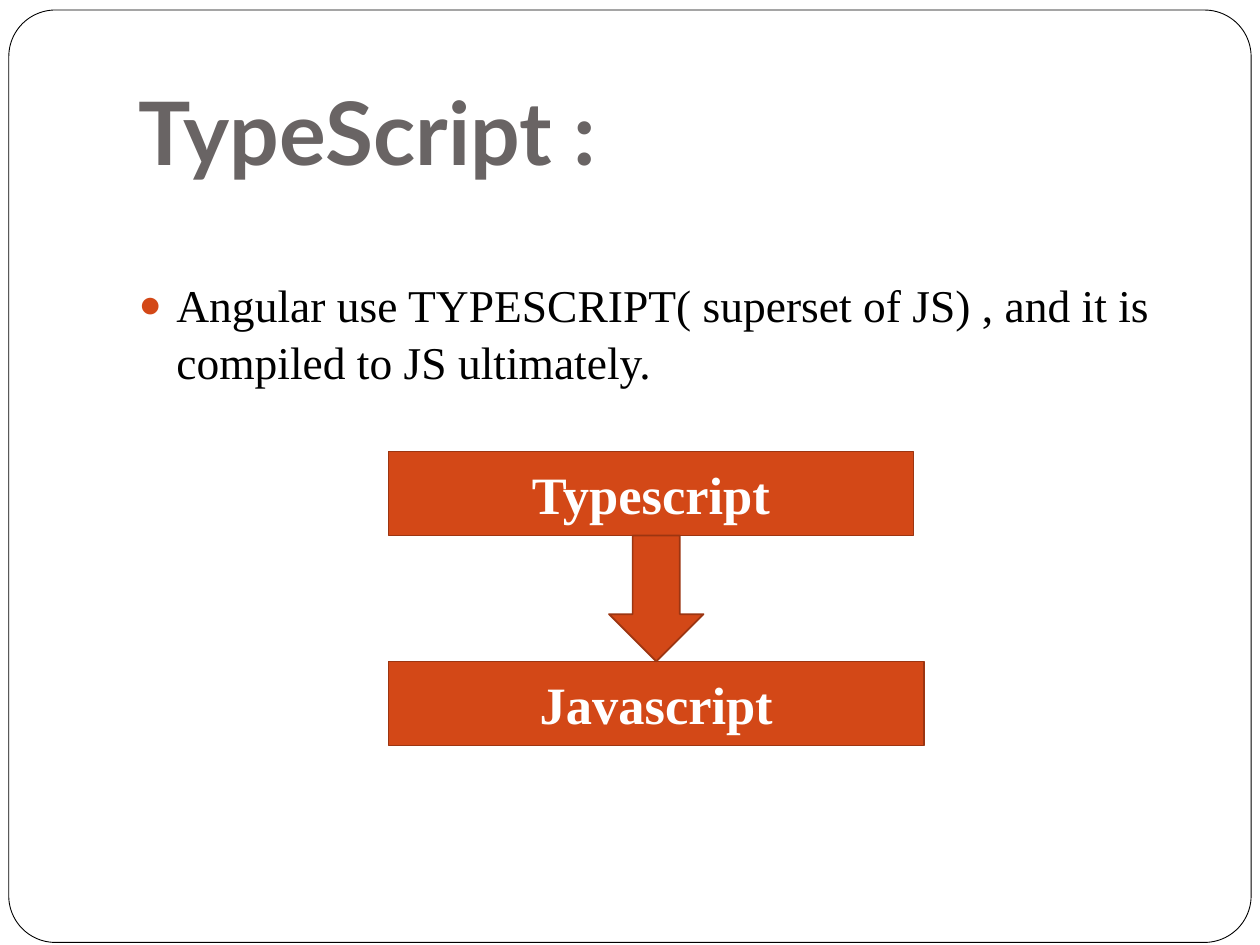
from dataclasses import dataclass
from typing import Optional

from lxml.etree import SubElement
from pptx import Presentation
from pptx.dml.color import RGBColor
from pptx.enum.shapes import MSO_SHAPE
from pptx.enum.text import MSO_ANCHOR, MSO_AUTO_SIZE, PP_ALIGN
from pptx.oxml.ns import qn
from pptx.util import Inches, Pt

COLS, ROWS = 120, 90
WIDE, HIGH = Inches(10), Inches(7.5)
SERIF = "Times New Roman"
RUST, EDGE = "D34817", "9C3511"


@dataclass
class Area:
    """Place on the grid, in columns and rows."""
    col: float
    row: float
    cols: float
    rows: float

    def emu(self) -> tuple:
        return (round(self.col * WIDE / COLS), round(self.row * HIGH / ROWS),
                round(self.cols * WIDE / COLS), round(self.rows * HIGH / ROWS))


@dataclass
class Block:
    kind: MSO_SHAPE
    area: Area
    text: Optional[str] = None
    fill: str = RUST
    line: str = EDGE
    width: float = 1


def color(code: str) -> RGBColor:
    return RGBColor.from_string(code)


def add_run(para, text: str, font: str, size: float, code: str, bold: bool = False) -> None:
    run = para.add_run()
    run.text = text
    run.font.name, run.font.size, run.font.bold = font, Pt(size), bold
    run.font.color.rgb = color(code)


def place(holder, area: Area):
    """Move a placeholder and return its text frame."""
    holder.left, holder.top, holder.width, holder.height = area.emu()
    frame = holder.text_frame
    frame.word_wrap, frame.auto_size = True, MSO_AUTO_SIZE.NONE
    return frame


def bullet(para, char: str, code: str, share: int, indent: float) -> None:
    props = para._p.get_or_add_pPr()
    props.set("marL", str(Inches(indent)))
    props.set("indent", str(-Inches(indent)))
    tint = SubElement(props, qn("a:buClr"))
    SubElement(tint, qn("a:srgbClr"), val=code)
    SubElement(props, qn("a:buSzPct"), val=str(share * 1000))
    SubElement(props, qn("a:buChar"), char=char)


def draw(slide, block: Block):
    shape = slide.shapes.add_shape(block.kind, *block.area.emu())
    shape.shadow.inherit = False
    shape.fill.solid()
    shape.fill.fore_color.rgb = color(block.fill)
    shape.line.color.rgb = color(block.line)
    shape.line.width = Pt(block.width)
    if block.text:
        frame = shape.text_frame
        frame.vertical_anchor = MSO_ANCHOR.MIDDLE
        para = frame.paragraphs[0]
        para.alignment = PP_ALIGN.CENTER
        add_run(para, block.text, SERIF, 30, "FFFFFF", True)
    return shape


def main() -> None:
    deck = Presentation()
    deck.slide_width, deck.slide_height = WIDE, HIGH
    slide = deck.slides.add_slide(deck.slide_layouts[1])
    title, body = slide.placeholders

    # Rounded frame behind everything
    border = draw(slide, Block(MSO_SHAPE.ROUNDED_RECTANGLE, Area(0.84, 0.96, 118.32, 88.8),
                               fill="FFFFFF", line="000000", width=0.5))
    border.adjustments[0] = 0.05
    title.element.addprevious(border.element)

    # Title
    frame = place(title, Area(12, 3.6, 102, 15))
    frame.vertical_anchor = MSO_ANCHOR.BOTTOM
    frame.margin_bottom = Inches(0.1)
    para = frame.paragraphs[0]
    para.alignment = PP_ALIGN.LEFT
    add_run(para, "TypeScript :", "Lato", 50, "696464", True)

    # List
    frame = place(body, Area(12, 19, 102, 60))
    frame.margin_top = Inches(0.59)
    para = frame.paragraphs[0]
    para.space_before, para.line_spacing = Pt(0), 1.05
    bullet(para, "●", RUST, 85, 0.3)
    add_run(para, "Angular use TYPESCRIPT( superset of JS) , and it is compiled to JS ultimately.",
            SERIF, 26, "000000")

    # Compile flow, top to bottom
    left, top, tall, gap = 37, 43, 8, 12
    flow = [
        Block(MSO_SHAPE.RECTANGLE, Area(left, top, 50, tall), "Typescript"),
        Block(MSO_SHAPE.RECTANGLE, Area(left, top + tall + gap, 51, tall), "Javascript"),
        Block(MSO_SHAPE.DOWN_ARROW, Area(58, top + tall, 9, gap)),
    ]
    for block in flow:
        draw(slide, block)

    deck.save("out.pptx")


if __name__ == "__main__":
    main()
